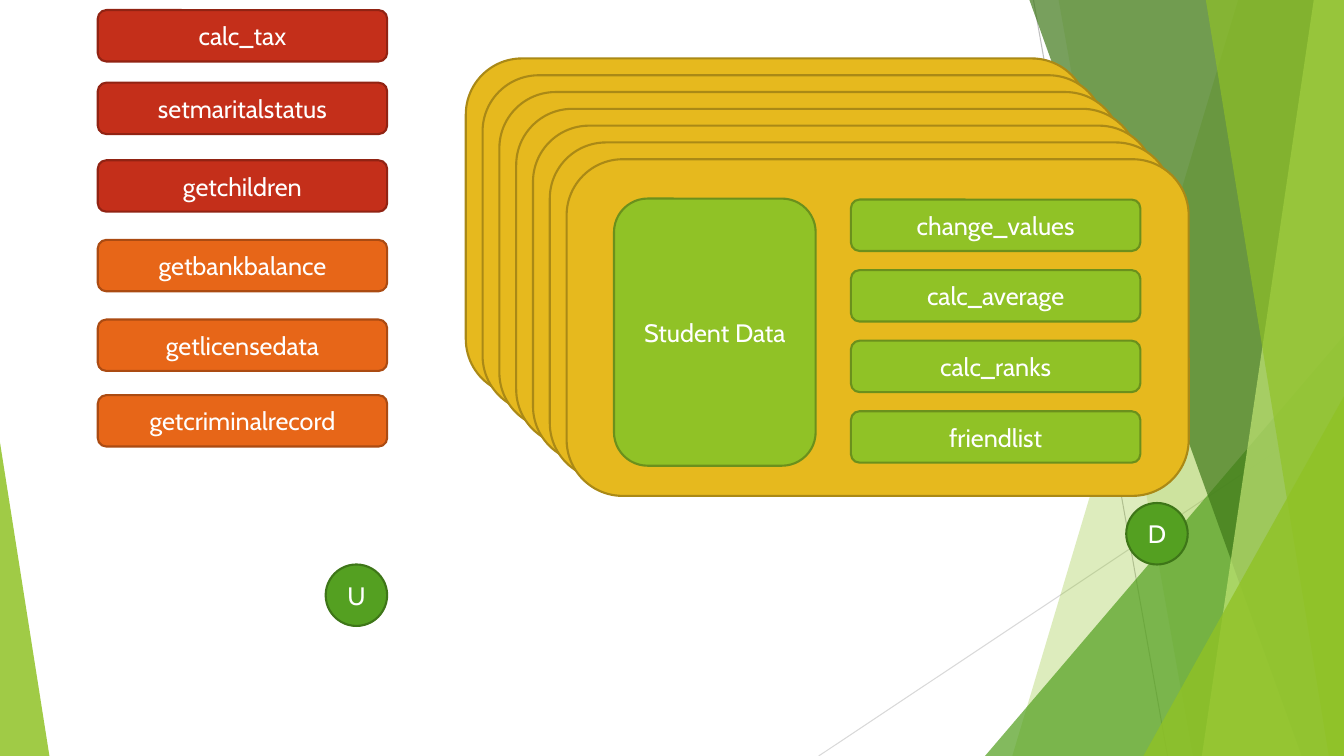
from lxml.etree import SubElement
from pptx import Presentation
from pptx.dml.color import RGBColor
from pptx.enum.shapes import MSO_CONNECTOR, MSO_SHAPE
from pptx.enum.text import MSO_ANCHOR, PP_ALIGN
from pptx.oxml.ns import qn
from pptx.util import Inches, Pt

SLIDE_WIDTH, SLIDE_HEIGHT = 13.33, 7.5
FONT = "Cabin"
COLORS = {
    "white": "FFFFFF",
    "lime": "90C226", "lime_edge": "6B901C", "pale_lime": "C0E474",
    "green": "54A021", "green_edge": "3E7618", "dark_green": "3F7819",
    "gold": "E6B91E", "gold_edge": "AA8916",
    "red": "C42F1A", "red_edge": "912313",
    "orange": "E76618", "orange_edge": "AB4B12",
    "gray": "BFBFBF", "light_gray": "D9D9D9",
}
BUTTON_WIDTH, BUTTON_HEIGHT = 2.87, 0.51
BADGE_SIZE = 0.61


def rgb(color):
    return RGBColor.from_string(COLORS[color])


def write_text(shape, text, size=18, color="white", align=PP_ALIGN.CENTER):
    frame = shape.text_frame
    frame.word_wrap = True
    frame.vertical_anchor = MSO_ANCHOR.MIDDLE
    paragraph = frame.paragraphs[0]
    paragraph.alignment = align
    run = paragraph.add_run()
    run.text = text
    run.font.name = FONT
    run.font.size = Pt(size)
    run.font.color.rgb = rgb(color)


def add_block(slide, box, color, text=None, kind=MSO_SHAPE.ROUNDED_RECTANGLE):
    """Add a filled shape with a darker edge and an optional centred label."""
    block = slide.shapes.add_shape(kind, *map(Inches, box))
    block.shadow.inherit = False
    block.fill.solid()
    block.fill.fore_color.rgb = rgb(color)
    block.line.color.rgb = rgb(color + "_edge")
    block.line.width = Pt(1.5)
    if text:
        write_text(block, text)


def style_facet(facet, color, opacity):
    """Give a backdrop facet a translucent fill and no outline."""
    facet.shadow.inherit = False
    facet.fill.solid()
    facet.fill.fore_color.rgb = rgb(color)
    facet.line.fill.background()
    fill_color = facet.element.spPr.find(".//" + qn("a:srgbClr"))
    SubElement(fill_color, qn("a:alpha"), val=str(opacity * 1000))


def add_ray(slide, start, end, color):
    ray = slide.shapes.add_connector(
        MSO_CONNECTOR.STRAIGHT, *map(Inches, (*start, *end)))
    ray.line.color.rgb = rgb(color)
    ray.line.width = Pt(0.75)
    SubElement(ray.element.spPr, qn("a:effectLst"))


def add_band(slide, box, top_x, bottom_x, color, opacity):
    """Fill the area between a slanted edge and the right side of the box."""
    left, top, width, height = box
    right, bottom = left + width, top + height
    builder = slide.shapes.build_freeform(Inches(left + top_x), Inches(top))
    corners = [(right, top), (right, bottom), (left + bottom_x, bottom)]
    builder.add_line_segments([(Inches(x), Inches(y)) for x, y in corners])
    style_facet(builder.convert_to_shape(), color, opacity)


def add_corner(slide, box, width, height, color, opacity, on_right=True):
    """Add a right triangle standing in a bottom corner of the box."""
    box_left, box_top, box_width, box_height = box
    left = box_left + (box_width - width if on_right else 0)
    corner = slide.shapes.add_shape(
        MSO_SHAPE.ISOSCELES_TRIANGLE, Inches(left),
        Inches(box_top + box_height - height), Inches(width), Inches(height))
    corner.adjustments[0] = 1 if on_right else 0
    style_facet(corner, color, opacity)


def add_backdrop(slide, box):
    left, top, width, height = box
    bottom = top + height
    add_ray(slide, (left + 10.25, top), (left + 11.58, bottom), "gray")
    add_ray(slide, (left + width, top + 4.03), (left + 8.12, bottom), "light_gray")
    add_band(slide, box, 12.28, 10.04, "lime", 30)
    add_band(slide, box, 10.5, 11.83, "lime", 20)
    add_corner(slide, box, 3.56, 4.17, "green", 72)
    add_band(slide, box, 10.21, 12.91, "dark_green", 70)
    add_band(slide, box, 13.03, 11.92, "pale_lime", 70)
    add_band(slide, box, 11.96, 13.18, "lime", 65)
    add_corner(slide, box, 1.99, 3.57, "lime", 80)
    add_corner(slide, box, 0.49, 3.11, "lime", 85, on_right=False)


def add_outside_functions(slide, left, top):
    functions = [
        ("calc_tax", 0, "red"),
        ("setmaritalstatus", 0.72, "red"),
        ("getchildren", 1.49, "red"),
        ("getbankbalance", 2.28, "orange"),
        ("getlicensedata", 3.07, "orange"),
        ("getcriminalrecord", 3.82, "orange"),
    ]
    for name, offset, color in functions:
        add_block(slide, (left, top + offset, BUTTON_WIDTH, BUTTON_HEIGHT),
                  color, name)


def add_student_objects(slide, left, top, cards=7, step=1 / 6):
    """Stack the object cards and fill in the front one."""
    for index in range(cards):
        front_left, front_top = left + index * step, top + index * step
        add_block(slide, (front_left, front_top, 6.17, 3.34), "gold")
    add_block(slide, (front_left + 0.47, front_top + 0.39, 2, 2.65),
              "lime", "Student Data")
    methods = ["change_values", "calc_average", "calc_ranks", "friendlist"]
    for row, name in enumerate(methods):
        add_block(slide, (front_left + 2.82, front_top + 0.4 + row * 0.7,
                          BUTTON_WIDTH, BUTTON_HEIGHT), "lime", name)


def add_badge(slide, left, top, letter):
    add_block(slide, (left, top, BADGE_SIZE, BADGE_SIZE), "green", letter,
              kind=MSO_SHAPE.OVAL)


def main():
    deck = Presentation()
    deck.slide_width = Inches(SLIDE_WIDTH)
    deck.slide_height = Inches(SLIDE_HEIGHT)
    slide = deck.slides.add_slide(deck.slide_layouts[6])
    add_backdrop(slide, (0, 0, SLIDE_WIDTH, SLIDE_HEIGHT))
    add_outside_functions(slide, 0.97, 0.1)
    add_student_objects(slide, 4.62, 0.58)
    add_badge(slide, 3.23, 5.6, "U")
    add_badge(slide, 11.17, 4.99, "D")
    deck.save("out.pptx")


if __name__ == "__main__":
    main()
